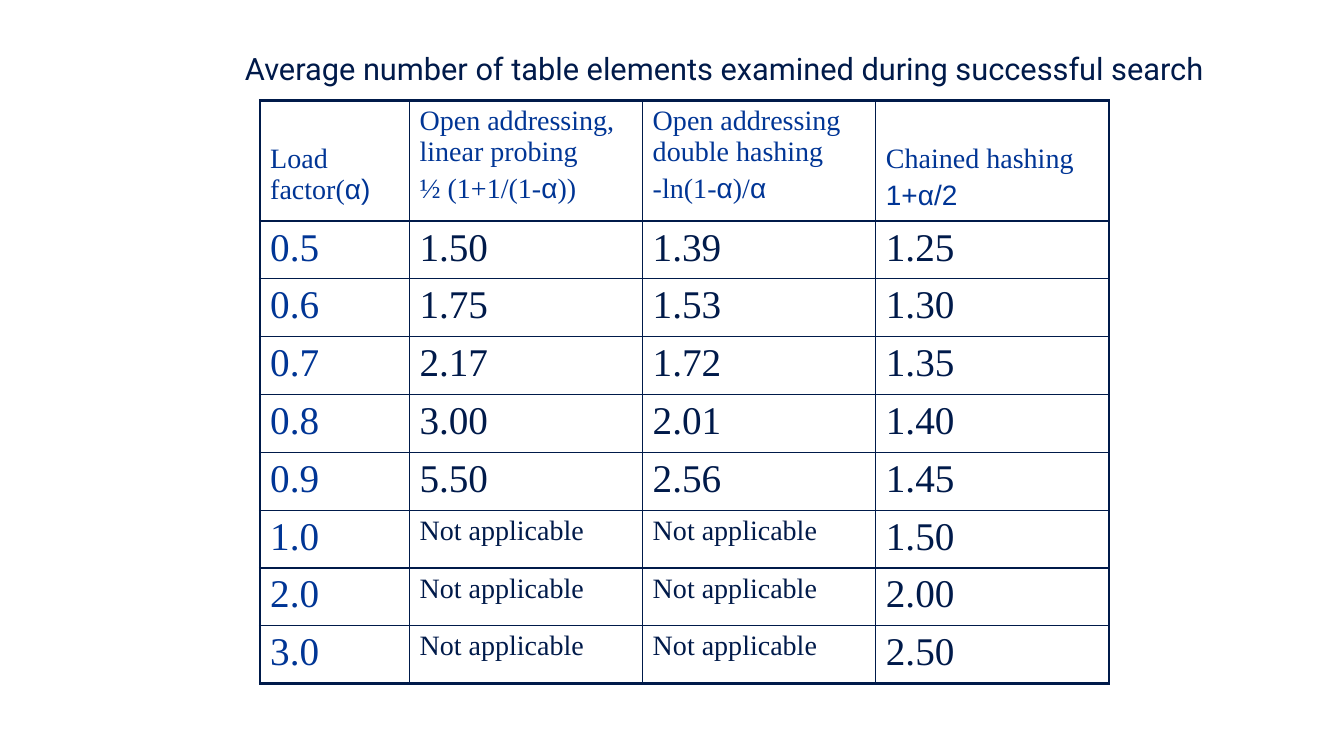
import itertools
import pptx
import pptx.dml.color
import pptx.enum.text
import pptx.oxml
import pptx.oxml.ns
import pptx.util

Inches, Pt = pptx.util.Inches, pptx.util.Pt
HUES = {"navy": "001A4A", "blue": "003595"}
FONTS = ("Times New Roman", "Arial")
TITLE = "Average number of table elements examined during successful search"
NONE = "Not applicable"
HEADS = [
    ["Load factor(|α)"],
    ["Open addressing, linear probing", "½ (1+1/(1-|α|))"],
    ["Open addressing double hashing", "-ln(1-|α|)/|α"],
    ["Chained hashing", "|1+α/2"],
]
ROWS = [
    ("0.5", "1.50", "1.39", "1.25"),
    ("0.6", "1.75", "1.53", "1.30"),
    ("0.7", "2.17", "1.72", "1.35"),
    ("0.8", "3.00", "2.01", "1.40"),
    ("0.9", "5.50", "2.56", "1.45"),
    ("1.0", NONE, NONE, "1.50"),
    ("2.0", NONE, NONE, "2.00"),
    ("3.0", NONE, NONE, "2.50"),
]
WIDTHS = (1.48, 2.31, 2.31, 2.31)


def style(font, hue, **form):
    """Apply a colour and a set of format values to a font."""
    font.color.rgb = pptx.dml.color.RGBColor.from_string(HUES[hue])
    for key, value in form.items():
        setattr(font, key, value)


def write(cell, lines, hue, size):
    """Fill a cell with lines whose fonts alternate at each bar."""
    for num, line in enumerate(lines):
        para = cell.text_frame.paragraphs[0] if num == 0 else cell.text_frame.add_paragraph()
        if num:
            para.space_before = Pt(4)
        for part, face in zip(line.split("|"), itertools.cycle(FONTS)):
            if part:
                run = para.add_run()
                run.text = part
                style(run.font, hue, name=face, size=Pt(size))


def edge(cell, thick):
    """Draw the four borders of a cell, heavy where thick is true."""
    props = cell._tc.get_or_add_tcPr()
    for side, heavy in zip("LRTB", thick):
        props.append(pptx.oxml.parse_xml(
            f'<a:ln{side} {pptx.oxml.ns.nsdecls("a")} w="{Pt(2.25 if heavy else 1)}">'
            f'<a:solidFill><a:srgbClr val="{HUES["navy"]}"/></a:solidFill></a:ln{side}>'))
    cell.fill.background()


def title(slide, left, top, width, height):
    """Place the slide title in the given box."""
    shape = slide.shapes.title
    box = {"left": left, "top": top, "width": width, "height": height}
    for key, value in box.items():
        setattr(shape, key, Inches(value))
    frame = shape.text_frame
    frame.text = TITLE
    form = {"word_wrap": False,
            "auto_size": pptx.enum.text.MSO_AUTO_SIZE.SHAPE_TO_FIT_TEXT,
            "vertical_anchor": pptx.enum.text.MSO_ANCHOR.TOP}
    for key, value in form.items():
        setattr(frame, key, value)
    para = frame.paragraphs[0]
    para.alignment = pptx.enum.text.PP_ALIGN.LEFT
    style(para.runs[0].font, "navy", name="Roboto", size=Pt(22))


def grid(slide, left, top, width, height, head):
    """Place the table of search costs in the given box."""
    count, last = len(ROWS), len(WIDTHS) - 1
    table = slide.shapes.add_table(
        count + 1, last + 1, *map(Inches, (left, top, width, height))).table
    table.first_row = table.horz_banding = False
    for col, wide in zip(table.columns, WIDTHS):
        col.width = Inches(wide * width / sum(WIDTHS))
    for num, row in enumerate(table.rows):
        row.height = Inches((height - head) / count if num else head)
    for y, x in itertools.product(range(count + 1), range(last + 1)):
        cell = table.cell(y, x)
        lines = [ROWS[y - 1][x]] if y else HEADS[x]
        hue = "navy" if x and y else "blue"
        write(cell, lines, hue, 20 if y == 0 or lines == [NONE] else 28)
        edge(cell, (x == 0, x == last, y == 0, y == count))
    for x in (0, last):
        table.cell(0, x).margin_top = Inches(0.42)


def main():
    """Build and save the slide."""
    deck = pptx.Presentation()
    deck.slide_width, deck.slide_height = Inches(13.33), Inches(7.5)
    slide = deck.slides.add_slide(deck.slide_layouts[5])
    grid(slide, 2.58, 1, 8.42, 5.73, 1.14)
    title(slide, 2.33, 0.44, 9.82, 0.47)
    deck.save("out.pptx")


if __name__ == "__main__":
    main()
